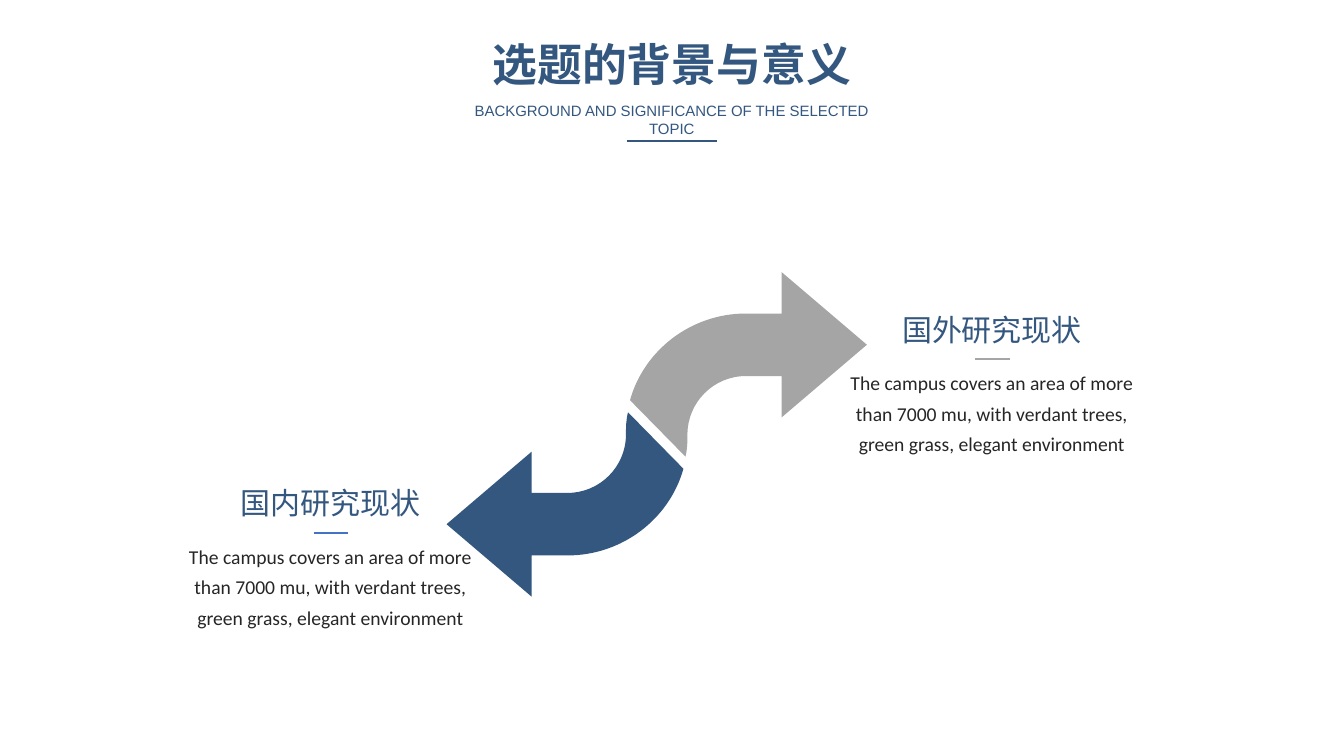
"""Build a slide with two opposed curved arrows and their captions."""
from pptx import Presentation
from pptx import util as u
from pptx.dml.color import RGBColor
from pptx.enum import shapes, text
from pptx.oxml.ns import qn
from lxml import etree

CELL = u.Inches(0.1)
COLS, ROWS = 133.33, 75
NAVY = RGBColor(0x34, 0x57, 0x80)
BLUE = RGBColor(0x44, 0x72, 0xC4)
GREY = RGBColor(0xA5, 0xA5, 0xA5)
INK = RGBColor(0x26, 0x26, 0x26)
BODY = ("The campus covers an area of more than 7000 mu, "
        "with verdant trees, green grass, elegant environment")
MID = (65.15, 43.1)
HUB = (9.1, -6.95)
EDGE = [(12.4, -16.1), (20.85, -8.9), (12.4, -1.7), (12.4, -5.8), (8.85, -5.8),
        (5.65, -5.8), (3.05, -3.2), (3.05, 0),
        (3.05, 0.7), (3.05, 1.4), (2.85, 2.2), (-2.65, -3.4),
        (-1.25, -8.4), (3.45, -12), (8.85, -12), (12.4, -12)]
BENDS = (5, 8, 12)


def cells(*nums):
    """Turn grid cells into lengths."""
    return [u.Emu(round(n * CELL)) for n in nums]


def bend(shape):
    """Turn each marked run of three line steps into one cubic curve."""
    steps = list(shape._element.iter(qn("a:lnTo")))
    for i in BENDS:
        first, *rest = steps[i - 1:i + 2]
        first.tag = qn("a:cubicBezTo")
        for step in rest:
            first.append(step[0])
            step.getparent().remove(step)


def arrow(slide, turn, color):
    """Draw the arrow on its side, turned half round when turn is -1."""
    left, top = (m + turn * h for m, h in zip(MID, HUB))
    pts = [cells(left - turn * (y - HUB[1]), top + turn * (x - HUB[0])) for x, y in EDGE]
    form = slide.shapes.build_freeform(*pts[0])
    form.add_line_segments(pts[1:], close=True)
    shape = form.convert_to_shape()
    bend(shape)
    shape.rotation = 270
    shape.shadow.inherit = False
    shape.fill.solid()
    shape.fill.fore_color.rgb = color
    shape.line.fill.background()


def label(slide, box, words, size, color, face="Arial", bold=False, gap=None, wrap=True):
    """Add a centred text box."""
    frame = slide.shapes.add_textbox(*cells(*box)).text_frame
    frame.word_wrap = wrap
    frame.auto_size = text.MSO_AUTO_SIZE.SHAPE_TO_FIT_TEXT
    frame.text = words
    para = frame.paragraphs[0]
    para.alignment = text.PP_ALIGN.CENTER
    if gap:
        para.line_spacing = gap
    font = para.runs[0].font
    font.size, font.name, font.bold = u.Pt(size), face, bold
    font.color.rgb = color


def rule(slide, x, y, wide, color):
    """Draw a short level line."""
    line = slide.shapes.add_connector(shapes.MSO_CONNECTOR.STRAIGHT,
                                      *cells(x, y, x + wide, y))
    line.line.color.rgb = color
    line.line.width = u.Pt(1.5)
    etree.SubElement(line._element.spPr, qn("a:effectLst"))


def block(slide, x, y, head, color):
    """Add a heading, its rule and the body below."""
    label(slide, (x, y, 31.3, 10), BODY, 14, INK, "Calibri", gap=1.3)
    rule(slide, x + 14, y, 3.4, color)
    label(slide, (x + 4.7, y - 5.25, 21.9, 4.6), head, 21.4, NAVY)


def main():
    """Make the slide and save it."""
    deck = Presentation()
    deck.slide_width, deck.slide_height = cells(COLS, ROWS)
    slide = deck.slides.add_slide(deck.slide_layouts[6])
    arrow(slide, -1, NAVY)
    arrow(slide, 1, GREY)
    block(slide, 17.13, 52.85, "国内研究现状", BLUE)
    block(slide, 82.75, 35.63, "国外研究现状", GREY)
    label(slide, (47.7, 3.2, 37.9, 6.4), "选题的背景与意义", 32, NAVY, bold=True, wrap=False)
    label(slide, (45.95, 9.6, 41.4, 2.8),
          "BACKGROUND AND SIGNIFICANCE OF THE SELECTED TOPIC", 10.7, NAVY)
    rule(slide, 62.2, 14, 8.9, NAVY)
    deck.save("out.pptx")


if __name__ == "__main__":
    main()
